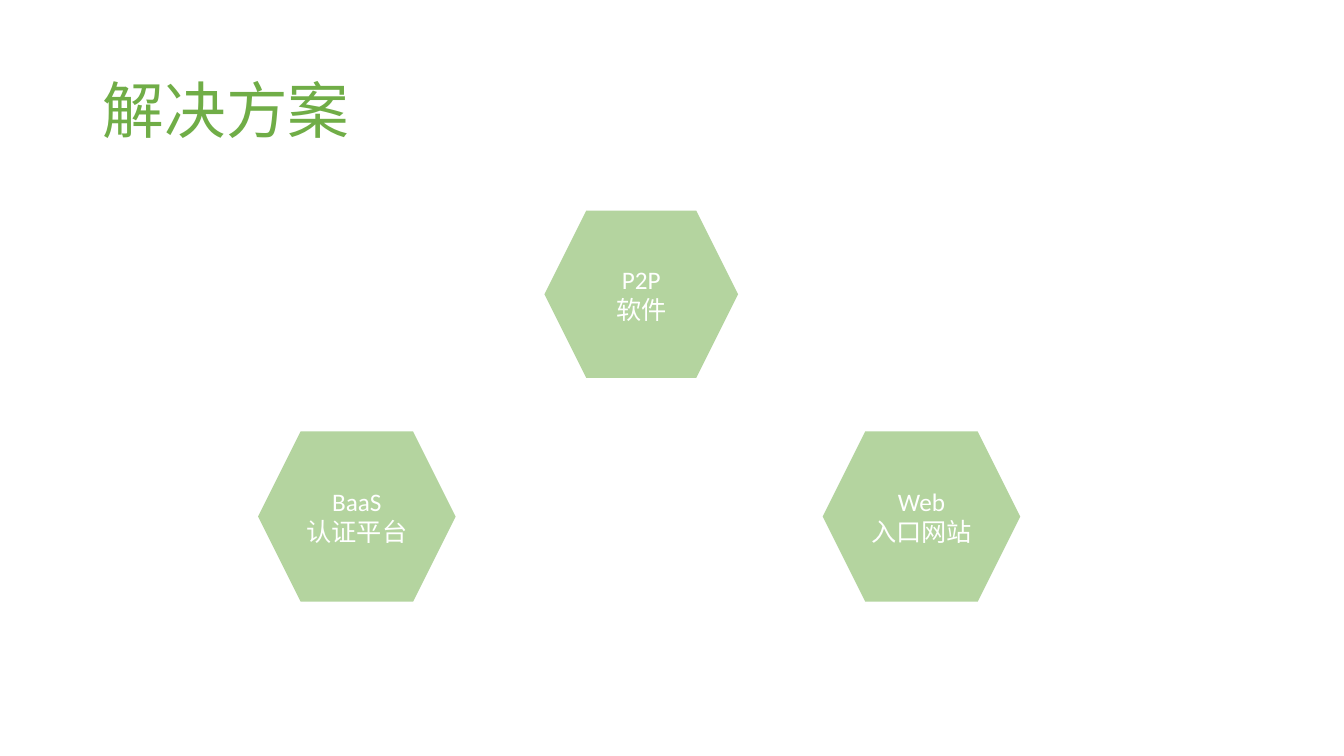
from lxml import etree
from pptx import Presentation
from pptx import util as u
from pptx.dml.color import RGBColor
from pptx.enum import shapes, text
from pptx.oxml.ns import qn

PX = 9144
GREEN = RGBColor(0x70, 0xAD, 0x47)
WHITE = RGBColor(0xFF, 0xFF, 0xFF)
LATIN = "Calibri"
CJK = "Noto Sans CJK TC"

TITLE_BOX = (92, 40, 1150, 145)
HEXAGONS = [
    ((540, 209, 192, 166), ["P2P", "软件"]),
    ((256, 428, 196, 169), ["BaaS", "认证平台"]),
    ((816, 428, 196, 169), ["Web", "入口网站"]),
]


def px(*lengths):
    return [u.Emu(n * PX) for n in lengths]


def write(tf, lines, size, color, font=LATIN, align=text.PP_ALIGN.CENTER, spacing=None):
    tf.word_wrap = True
    tf.auto_size = text.MSO_AUTO_SIZE.NONE
    tf.vertical_anchor = text.MSO_ANCHOR.MIDDLE
    for i, line in enumerate(lines):
        p = tf.paragraphs[0] if i == 0 else tf.add_paragraph()
        p.alignment = align
        p.line_spacing = spacing
        r = p.add_run()
        r.text = line
        r.font.size = u.Pt(size)
        r.font.color.rgb = color
        r.font.name = font
        etree.SubElement(r.font._element, qn("a:ea"), typeface=CJK)


def add_title(s, box, title):
    sp = s.shapes.title
    sp.left, sp.top, sp.width, sp.height = px(*box)
    write(sp.text_frame, [title], 44, GREEN, font=CJK,
          align=text.PP_ALIGN.LEFT, spacing=0.9)


def add_hexagon(s, box, lines):
    sp = s.shapes.add_shape(shapes.MSO_SHAPE.HEXAGON, *px(*box))
    sp.shadow.inherit = False
    sp.fill.solid()
    sp.fill.fore_color.rgb = GREEN
    color = sp._element.spPr.find(qn("a:solidFill")).find(qn("a:srgbClr"))
    etree.SubElement(color, qn("a:alpha"), val="52000")
    sp.line.fill.background()
    write(sp.text_frame, lines, 18, WHITE)


def main():
    prs = Presentation()
    prs.slide_width, prs.slide_height = px(1333, 750)
    s = prs.slides.add_slide(prs.slide_layouts[5])
    add_title(s, TITLE_BOX, "解决方案")
    for box, lines in HEXAGONS:
        add_hexagon(s, box, lines)
    prs.save("out.pptx")


if __name__ == "__main__":
    main()
